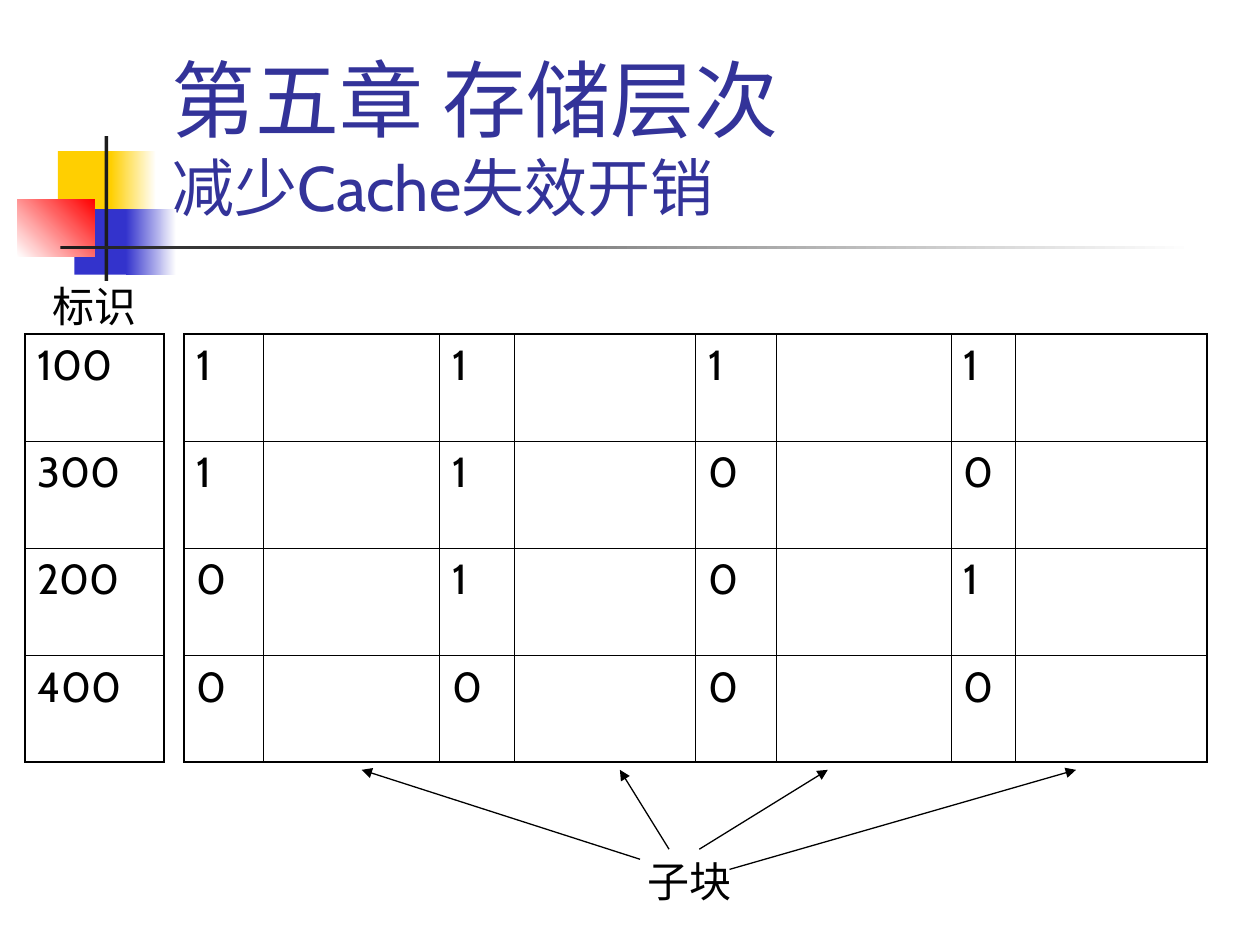
from lxml.etree import SubElement
from pptx import Presentation
from pptx.dml.color import RGBColor
from pptx.enum.shapes import MSO_CONNECTOR, MSO_SHAPE
from pptx.enum.text import MSO_ANCHOR, PP_ALIGN
from pptx.oxml.ns import qn
from pptx.util import Inches, Pt

FONT = "Cabin"
COLORS = {
    "gold": "FFCF01", "blue": "3333CC", "red": "FF0000", "ink": "1C1C1C",
    "white": "FFFFFF", "title": "333399", "black": "000000",
}
TITLE_LINES = [("第五章 存储层次", 48), ("减少Cache失效开销", 36)]
DECORATIONS = [
    ((0.46, 1.2, 0.48, 0.52), ["gold"], 0),
    ((0.88, 1.2, 0.36, 0.52), ["gold", "white"], 0),
    ((0.59, 1.66, 0.46, 0.52), ["blue"], 0),
    ((1, 1.66, 0.4, 0.52), ["blue", "white"], 0),
    ((0.14, 1.58, 0.61, 0.46), ["white", "red"], 45),
    ((0.83, 1.08, 0.03, 1.15), ["ink"], 0),
    ((0.48, 1.95, 9, 0.03), ["ink", "white"], 0),
]
TAGS = ["100", "300", "200", "400"]
VALID_BITS = ["1111", "1100", "0101", "0000"]
TAG_COLUMNS = [1.1]
BLOCK_COLUMNS = [0.63, 1.4, 0.59, 1.44, 0.64, 1.39, 0.51, 1.52]
TABLE_TOP, ROW_HEIGHT = 2.65, 0.85
TAG_LEFT, BLOCK_LEFT = 0.2, 1.46
LABELS = [("标识", (0.2, 2.18, 1.1, 0.5)), ("子块", (4.13, 6.74, 2.68, 0.5))]
ARROW_TIP = 6.11
ARROWS = [((5.08, 6.82), 2.87), ((5.31, 6.74), 4.92), ((5.55, 6.74), 6.57), ((5.79, 6.9), 8.54)]


def rgb(name):
    return RGBColor.from_string(COLORS[name])


def box(values):
    return [Inches(value) for value in values]


def style(font, size, color="black"):
    font.name = FONT
    font.size = Pt(size)
    font.color.rgb = rgb(color)


def add_decoration(slide, bounds, colors, angle):
    shape = slide.shapes.add_shape(MSO_SHAPE.RECTANGLE, *box(bounds))
    shape.shadow.inherit = False
    shape.line.fill.background()
    if len(colors) == 1:
        shape.fill.solid()
        shape.fill.fore_color.rgb = rgb(colors[0])
        return
    shape.fill.gradient()
    shape.fill.gradient_angle = angle
    for stop, color, position in zip(shape.fill.gradient_stops, colors, (0, 1)):
        stop.color.rgb = rgb(color)
        stop.position = position


def set_title(slide):
    title = slide.shapes.title
    title.left, title.top, title.width, title.height = box((1.26, 0.23, 8.52, 1.6))
    frame = title.text_frame
    frame.text = "\v".join(text for text, size in TITLE_LINES)
    frame.vertical_anchor = MSO_ANCHOR.BOTTOM
    paragraph = frame.paragraphs[0]
    paragraph.alignment = PP_ALIGN.LEFT
    for run, (text, size) in zip(paragraph.runs, TITLE_LINES):
        style(run.font, size, "title")


def set_borders(cell, outer_sides):
    properties = cell._tc.get_or_add_tcPr()
    for side, outer in zip("LRTB", outer_sides):
        line = SubElement(properties, qn(f"a:ln{side}"), w=str(Pt(1.08 if outer else 0.45)))
        fill = SubElement(line, qn("a:solidFill"))
        SubElement(fill, qn("a:srgbClr"), val=COLORS["black"])


def add_grid(slide, left, columns, rows):
    bounds = box((left, TABLE_TOP, sum(columns), ROW_HEIGHT * len(rows)))
    table = slide.shapes.add_table(len(rows), len(columns), *bounds).table
    table.first_row = table.horz_banding = False
    for column, width in zip(table.columns, columns):
        column.width = Inches(width)
    last_row, last_column = len(rows) - 1, len(columns) - 1
    for r, row in enumerate(rows):
        table.rows[r].height = Inches(ROW_HEIGHT)
        for c, text in enumerate(row):
            cell = table.cell(r, c)
            set_borders(cell, (c == 0, c == last_column, r == 0, r == last_row))
            cell.fill.background()
            cell.text = text
            paragraph = cell.text_frame.paragraphs[0]
            paragraph.space_before = Pt(6)
            style(paragraph.font, 24)


def add_label(slide, text, bounds):
    frame = slide.shapes.add_textbox(*box(bounds)).text_frame
    frame.word_wrap = True
    frame.text = text
    paragraph = frame.paragraphs[0]
    paragraph.alignment = PP_ALIGN.CENTER
    style(paragraph.runs[0].font, 24)


def add_arrow(slide, start, tip):
    arrow = slide.shapes.add_connector(MSO_CONNECTOR.STRAIGHT, *box((*start, tip, ARROW_TIP)))
    arrow.line.color.rgb = rgb("black")
    arrow.line.width = Pt(0.75)
    SubElement(arrow.line._get_or_add_ln(), qn("a:tailEnd"), type="triangle")
    SubElement(arrow._element.spPr, qn("a:effectLst"))


def main():
    presentation = Presentation()
    presentation.slide_width, presentation.slide_height = Inches(10), Inches(7.5)
    slide = presentation.slides.add_slide(presentation.slide_layouts[5])
    for decoration in DECORATIONS:
        add_decoration(slide, *decoration)
    set_title(slide)
    block_rows = [[text for bit in bits for text in (bit, "")] for bits in VALID_BITS]
    add_grid(slide, BLOCK_LEFT, BLOCK_COLUMNS, block_rows)
    add_grid(slide, TAG_LEFT, TAG_COLUMNS, [[tag] for tag in TAGS])
    for label in LABELS:
        add_label(slide, *label)
    for arrow in ARROWS:
        add_arrow(slide, *arrow)
    presentation.save("out.pptx")


if __name__ == "__main__":
    main()
